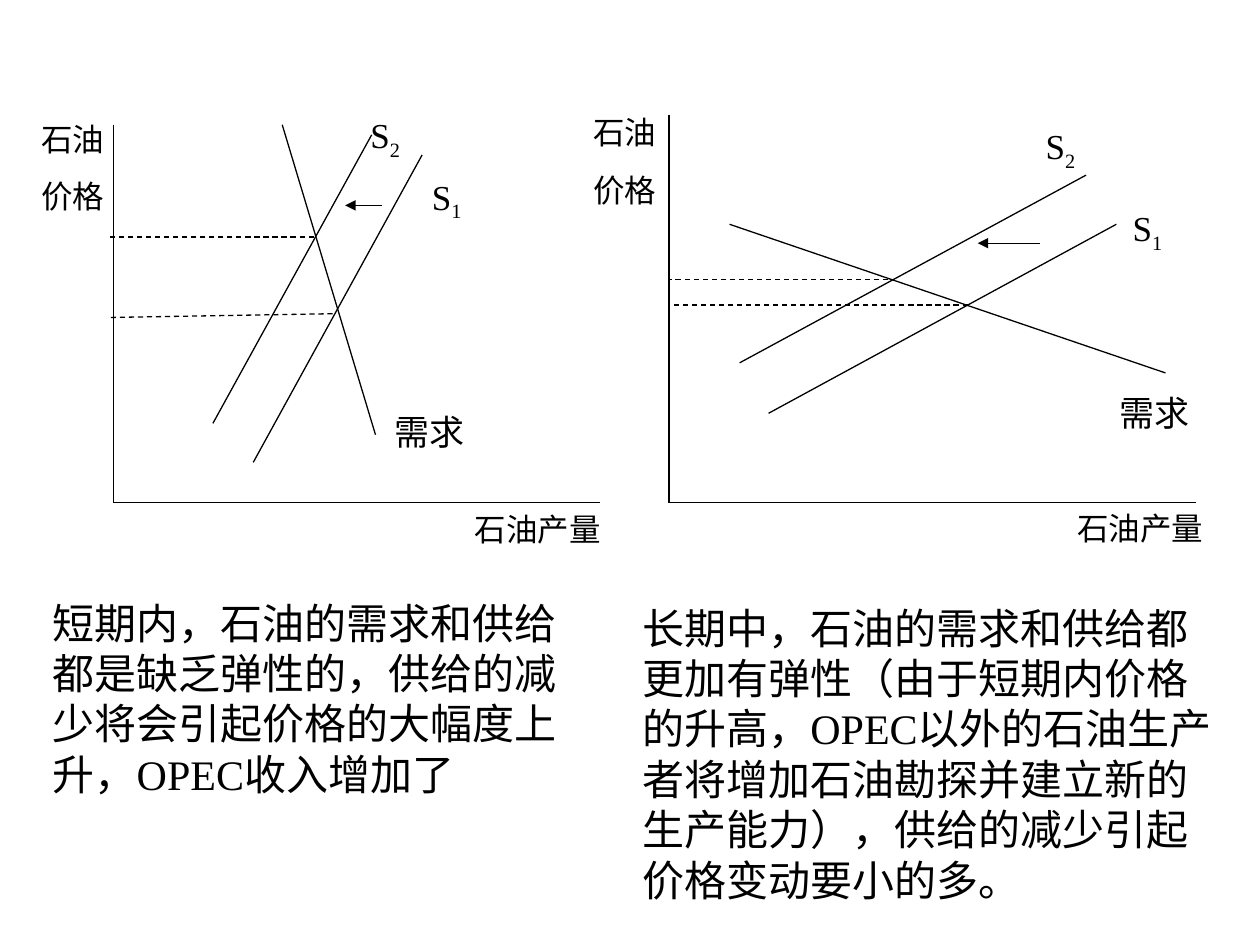
"""Build a slide comparing short-run and long-run oil supply cuts."""
import dataclasses
import typing

import lxml.etree
import pptx
import pptx.dml.color
import pptx.enum.dml
import pptx.enum.shapes
import pptx.enum.text
import pptx.oxml.ns
import pptx.slide
import pptx.text.text
import pptx.util

Inches = pptx.util.Inches
Pt = pptx.util.Pt
Point = typing.Tuple[float, float]


@dataclasses.dataclass(frozen=True)
class Theme:
    """Colours, font and type sizes of the slide."""
    ink: pptx.dml.color.RGBColor = pptx.dml.color.RGBColor(0, 0, 0)
    font: str = "Times New Roman"
    axis_size: float = 18
    curve_size: float = 20
    caption_size: float = 24
    spacing_ratio: float = 0.625
    line_width: float = 0.75
    subscript: str = "-25000"


@dataclasses.dataclass(frozen=True)
class Segment:
    """A straight line from start to end."""
    start: Point
    end: Point
    dashed: bool = False
    arrow: bool = False


@dataclasses.dataclass(frozen=True)
class Label:
    """A text block with an optional subscript after its last paragraph."""
    corner: Point
    extent: Point
    paragraphs: typing.Tuple[str, ...]
    size: float
    subscript: str = ""


@dataclasses.dataclass(frozen=True)
class Market:
    """One supply and demand diagram with its caption."""
    axis_top: Point
    axis_right: float
    curves: typing.Tuple[Segment, ...]
    price_title: Point
    output_title: Point
    supply_before: Point
    supply_after: Point
    demand: Point
    caption: Label


THEME = Theme()
AXIS_BASE = 3.99

SHORT_RUN = Market(
    axis_top=(0.9, 0.99),
    axis_right=4.76,
    curves=(
        Segment((1.69, 3.36), (2.95, 1.07)),
        Segment((2.01, 3.67), (3.35, 1.23)),
        Segment((2.24, 0.99), (2.98, 3.45)),
        Segment((2.64, 2.49), (0.87, 2.52), dashed=True),
        Segment((2.49, 1.88), (0.87, 1.88), dashed=True),
        Segment((3.03, 1.63), (2.74, 1.63), arrow=True),
    ),
    price_title=(0.23, 0.9),
    output_title=(3.67, 4),
    supply_before=(3.33, 1.34),
    supply_after=(2.84, 0.85),
    demand=(3.03, 3.21),
    caption=Label(
        (0.32, 4.69), (4.48, 1.7),
        ("短期内，石油的需求和供给都是缺乏弹性的，供给的减少将会引起价格的大幅度上升，OPEC收入增加了",),
        THEME.caption_size),
)

LONG_RUN = Market(
    axis_top=(5.31, 0.91),
    axis_right=9.49,
    curves=(
        Segment((5.87, 2.88), (8.62, 1.39)),
        Segment((6.1, 3.28), (8.86, 1.78)),
        Segment((5.79, 1.78), (9.25, 2.96)),
        Segment((7.68, 2.42), (5.31, 2.42), dashed=True),
        Segment((7.05, 2.22), (5.31, 2.22), dashed=True),
        Segment((8.25, 1.93), (7.76, 1.93), arrow=True),
    ),
    price_title=(4.61, 0.85),
    output_title=(8.45, 3.99),
    supply_before=(8.89, 1.59),
    supply_after=(8.2, 0.94),
    demand=(8.79, 3.06),
    caption=Label(
        (5, 4.73), (4.73, 2.5),
        ("长期中，石油的需求和供给都更加有弹性（由于短期内价格的升高，OPEC以外的石油生产者将增加石油勘探并建立新的生产能力），供给的减少引起价格变动要小的多。",),
        THEME.caption_size),
)


def draw_segment(slide: pptx.slide.Slide, segment: Segment) -> None:
    """Draw one line, dashed or arrowed as described."""
    stroke = slide.shapes.add_connector(
        pptx.enum.shapes.MSO_CONNECTOR.STRAIGHT,
        *(Inches(value) for value in segment.start + segment.end))
    stroke.line.color.rgb = THEME.ink
    stroke.line.width = Pt(THEME.line_width)
    if segment.dashed:
        stroke.line.dash_style = pptx.enum.dml.MSO_LINE.DASH
    qn = pptx.oxml.ns.qn
    if segment.arrow:
        outline = stroke.line._get_or_add_ln()
        lxml.etree.SubElement(outline, qn("a:tailEnd"), type="triangle")
    lxml.etree.SubElement(stroke._element.spPr, qn("a:effectLst"))


def add_run(paragraph: pptx.text.text._Paragraph, wording: str,
            size: float) -> pptx.text.text._Run:
    """Add one run in the theme font and ink."""
    run = paragraph.add_run()
    run.text = wording
    run.font.name = THEME.font
    run.font.size = Pt(size)
    run.font.color.rgb = THEME.ink
    return run


def draw_label(slide: pptx.slide.Slide, label: Label) -> None:
    """Draw one text block."""
    block = slide.shapes.add_textbox(
        *(Inches(value) for value in label.corner + label.extent))
    frame = block.text_frame
    frame.word_wrap = True
    frame.auto_size = pptx.enum.text.MSO_AUTO_SIZE.SHAPE_TO_FIT_TEXT
    for index, wording in enumerate(label.paragraphs):
        paragraph = frame.add_paragraph() if index else frame.paragraphs[0]
        paragraph.space_before = Pt(round(label.size * THEME.spacing_ratio, 1))
        add_run(paragraph, wording, label.size)
    if label.subscript:
        lowered = add_run(paragraph, label.subscript, label.size)
        lowered.font._element.set("baseline", THEME.subscript)


def draw_market(slide: pptx.slide.Slide, market: Market) -> None:
    """Draw axes, curves, labels and caption of one diagram."""
    origin = (market.axis_top[0], AXIS_BASE)
    axes = (Segment(market.axis_top, origin),
            Segment(origin, (market.axis_right, AXIS_BASE)))
    for segment in axes + market.curves:
        draw_segment(slide, segment)
    labels = (
        Label(market.price_title, (1.03, 0.86), ("石油", "价格"), THEME.axis_size),
        Label(market.output_title, (1.43, 0.4), ("石油产量",), THEME.axis_size),
        Label(market.supply_after, (0.49, 0.48), ("S",), THEME.curve_size, "2"),
        Label(market.supply_before, (0.49, 0.48), ("S",), THEME.curve_size, "1"),
        Label(market.demand, (1.03, 0.44), ("需求",), THEME.curve_size),
        market.caption,
    )
    for label in labels:
        draw_label(slide, label)


def main() -> None:
    """Build and save the presentation."""
    deck = pptx.Presentation()
    deck.slide_width = Inches(10)
    deck.slide_height = Inches(7.5)
    slide = deck.slides.add_slide(deck.slide_layouts[6])
    for market in (SHORT_RUN, LONG_RUN):
        draw_market(slide, market)
    deck.save("out.pptx")


if __name__ == "__main__":
    main()
